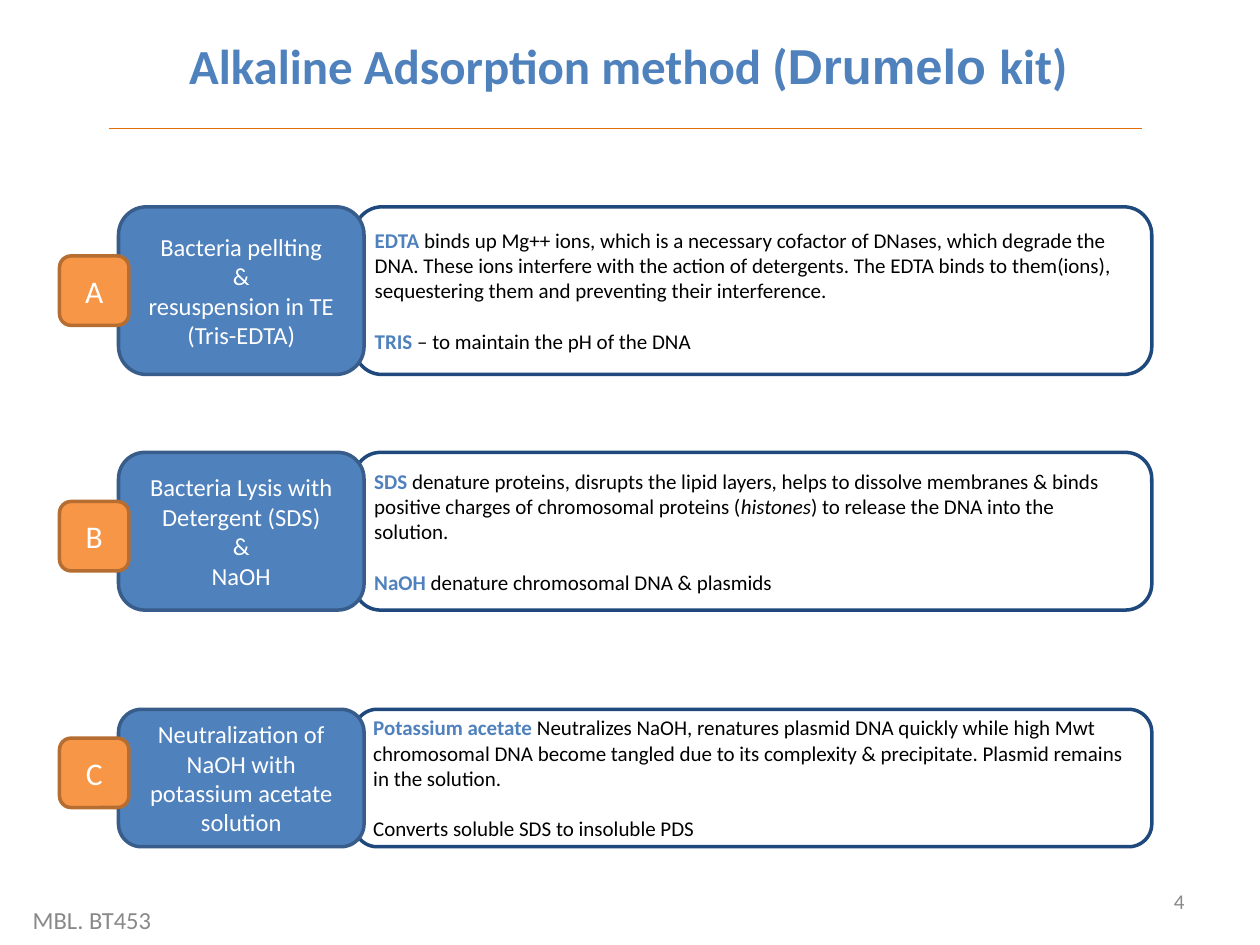
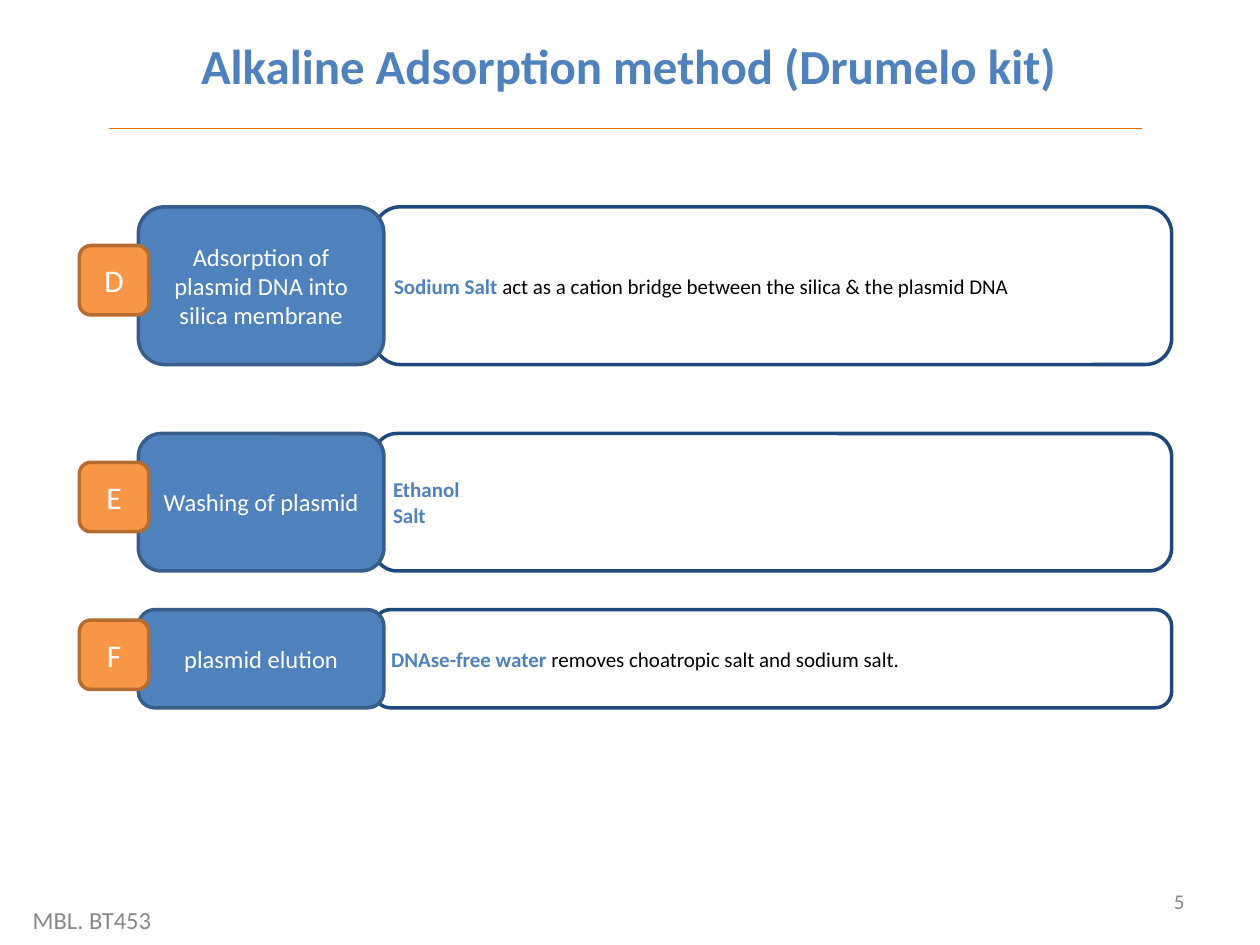
from lxml.etree import SubElement
from pptx import Presentation
from pptx.dml.color import RGBColor
from pptx.enum.shapes import MSO_CONNECTOR, MSO_SHAPE
from pptx.enum.text import MSO_ANCHOR, MSO_AUTO_SIZE, PP_ALIGN
from pptx.oxml.ns import qn
from pptx.util import Cm, Pt

BLUE = RGBColor(0x4F, 0x81, 0xBD)
LABEL_EDGE = RGBColor(0x38, 0x5D, 0x8A)
PANEL_EDGE = RGBColor(0x1F, 0x49, 0x7D)
ORANGE = RGBColor(0xF7, 0x96, 0x46)
BADGE_EDGE = RGBColor(0xB6, 0x6D, 0x31)
RULE_COLOR = RGBColor(0xE4, 0x6C, 0x0A)
GRAY = RGBColor(0x89, 0x89, 0x89)
WHITE = RGBColor(0xFF, 0xFF, 0xFF)
BLACK = RGBColor(0x00, 0x00, 0x00)

FONT = "Calibri"
TERM = {"bold": True, "color": BLUE}
ITALIC = {"italic": True}
BADGE_SIZE = 1.4
LABEL_WIDTH = 4.95
PANEL_WIDTH = 16.08

ALKALINE_STEPS = [
    {
        "letter": "A", "top": 4.17, "height": 3.38, "badge_top": 5.16,
        "label": ["Bacteria pellting", "&", "resuspension in TE (Tris-EDTA)"],
        "details": [
            [("EDTA", TERM),
             " binds up Mg++ ions, which is a necessary cofactor of DNases, "
             "which degrade the DNA. These ions interfere with the action of "
             "detergents. The EDTA binds to them(ions), sequestering them and "
             "preventing their interference."],
            [("TRIS", TERM), " – to maintain the pH of the DNA"],
        ],
    },
    {
        "letter": "B", "top": 9.12, "height": 3.18, "badge_top": 10.11,
        "label": ["Bacteria Lysis with", "Detergent (SDS)", "&", "NaOH"],
        "details": [
            [("SDS", TERM),
             " denature proteins, disrupts the lipid layers, helps to dissolve "
             "membranes & binds positive charges of chromosomal proteins (",
             ("histones", ITALIC), ") to release the DNA into the solution."],
            [("NaOH ", TERM), "denature chromosomal DNA & plasmids"],
        ],
    },
    {
        "letter": "C", "top": 14.3, "height": 2.77, "badge_top": 14.88,
        "label": ["Neutralization of NaOH with potassium acetate solution"],
        "details": [
            [("Potassium acetate ", TERM),
             "Neutralizes NaOH, renatures plasmid DNA quickly while high Mwt "
             "chromosomal DNA become tangled due to its complexity & "
             "precipitate. Plasmid remains in the solution."],
            ["Converts soluble SDS to insoluble PDS"],
        ],
    },
]

ADSORPTION_STEPS = [
    {
        "letter": "D", "top": 4.17, "height": 3.18, "badge_top": 4.95,
        "label": ["Adsorption of plasmid DNA into silica membrane"],
        "details": [
            [("Sodium Salt ", TERM),
             "act as a cation bridge between the silica & the plasmid DNA"],
        ],
    },
    {
        "letter": "E", "top": 8.74, "height": 2.77, "badge_top": 9.32,
        "label": ["Washing of plasmid"],
        "details": [[("Ethanol", TERM)], [("Salt", TERM)]],
        "detail_gap": 0,
    },
    {
        "letter": "F", "top": 12.29, "height": 1.98, "badge_top": 12.5,
        "label": ["plasmid elution"],
        "details": [
            [("DNAse-free water ", TERM),
             "removes choatropic salt and sodium salt."],
        ],
    },
]


def write_text(frame, paragraphs, *, size, color, bold=False,
               align=PP_ALIGN.LEFT, anchor=MSO_ANCHOR.MIDDLE, gap=0):
    frame.word_wrap = True
    frame.auto_size = MSO_AUTO_SIZE.NONE
    frame.vertical_anchor = anchor
    for index, pieces in enumerate(paragraphs):
        paragraph = frame.add_paragraph() if index else frame.paragraphs[0]
        paragraph.alignment = align
        paragraph.space_before = Pt(gap if index else 0)
        for piece in [pieces] if isinstance(pieces, str) else pieces:
            text, style = (piece, {}) if isinstance(piece, str) else piece
            run = paragraph.add_run()
            run.text = text
            run.font.name = style.get("font", FONT)
            run.font.size = Pt(size)
            run.font.bold = style.get("bold", bold)
            run.font.italic = style.get("italic", False)
            run.font.color.rgb = style.get("color", color)


def add_rounded_box(slide, left, top, width, height, fill, edge):
    shape = slide.shapes.add_shape(MSO_SHAPE.ROUNDED_RECTANGLE, Cm(left),
                                   Cm(top), Cm(width), Cm(height))
    shape.shadow.inherit = False
    shape.fill.solid()
    shape.fill.fore_color.rgb = fill
    shape.line.color.rgb = edge
    shape.line.width = Pt(2)
    return shape.text_frame


def add_note(slide, left, top, width, text, **text_format):
    box = slide.shapes.add_textbox(Cm(left), Cm(top), Cm(width), Cm(1.02))
    write_text(box.text_frame, [text], color=GRAY, **text_format)


def add_title(slide, pieces):
    title = slide.shapes.title
    title.left, title.top = Cm(2.29), Cm(0.58)
    title.width, title.height = Cm(20.75), Cm(1.37)
    write_text(title.text_frame, [pieces], size=28, color=BLUE, bold=True,
               align=PP_ALIGN.CENTER, anchor=MSO_ANCHOR.TOP)


def add_title_rule(slide):
    rule = slide.shapes.add_connector(MSO_CONNECTOR.STRAIGHT, Cm(2.19),
                                      Cm(2.59), Cm(23.02), Cm(2.59))
    rule.line.color.rgb = RULE_COLOR
    rule.line.width = Pt(0.75)
    SubElement(rule._element.spPr, qn("a:effectLst"))


def add_step(slide, left, step):
    top, height = step["top"], step["height"]
    panel = add_rounded_box(slide, left + 5.94, top, PANEL_WIDTH, height,
                            WHITE, PANEL_EDGE)
    write_text(panel, step["details"], size=12, color=BLACK,
               gap=step.get("detail_gap", 14.6))
    label = add_rounded_box(slide, left + 1.19, top, LABEL_WIDTH, height,
                            BLUE, LABEL_EDGE)
    write_text(label, step["label"], size=14, color=WHITE,
               align=PP_ALIGN.CENTER)
    badge = add_rounded_box(slide, left, step["badge_top"], BADGE_SIZE,
                            BADGE_SIZE, ORANGE, BADGE_EDGE)
    write_text(badge, [step["letter"]], size=18, color=WHITE,
               align=PP_ALIGN.CENTER)


def add_method_slide(presentation, number, title, steps_left, steps):
    slide = presentation.slides.add_slide(presentation.slide_layouts[5])
    add_title(slide, title)
    add_title_rule(slide)
    add_note(slide, 18.21, 17.65, 5.92, str(number), size=12,
             align=PP_ALIGN.RIGHT)
    add_note(slide, 0.41, 18.03, 8.89, "MBL. BT453", size=14)
    for step in steps:
        add_step(slide, steps_left, step)


def main():
    presentation = Presentation()
    presentation.slide_width = Cm(25.4)
    presentation.slide_height = Cm(19.05)
    add_method_slide(
        presentation, 4,
        ["Alkaline Adsorption method (", ("Drumelo ", {"font": "Arial", "bold": True}),
         "kit)"],
        1.2, ALKALINE_STEPS)
    add_method_slide(presentation, 5,
                     "Alkaline Adsorption method (Drumelo kit)",
                     1.6, ADSORPTION_STEPS)
    presentation.save("out.pptx")


if __name__ == "__main__":
    main()
